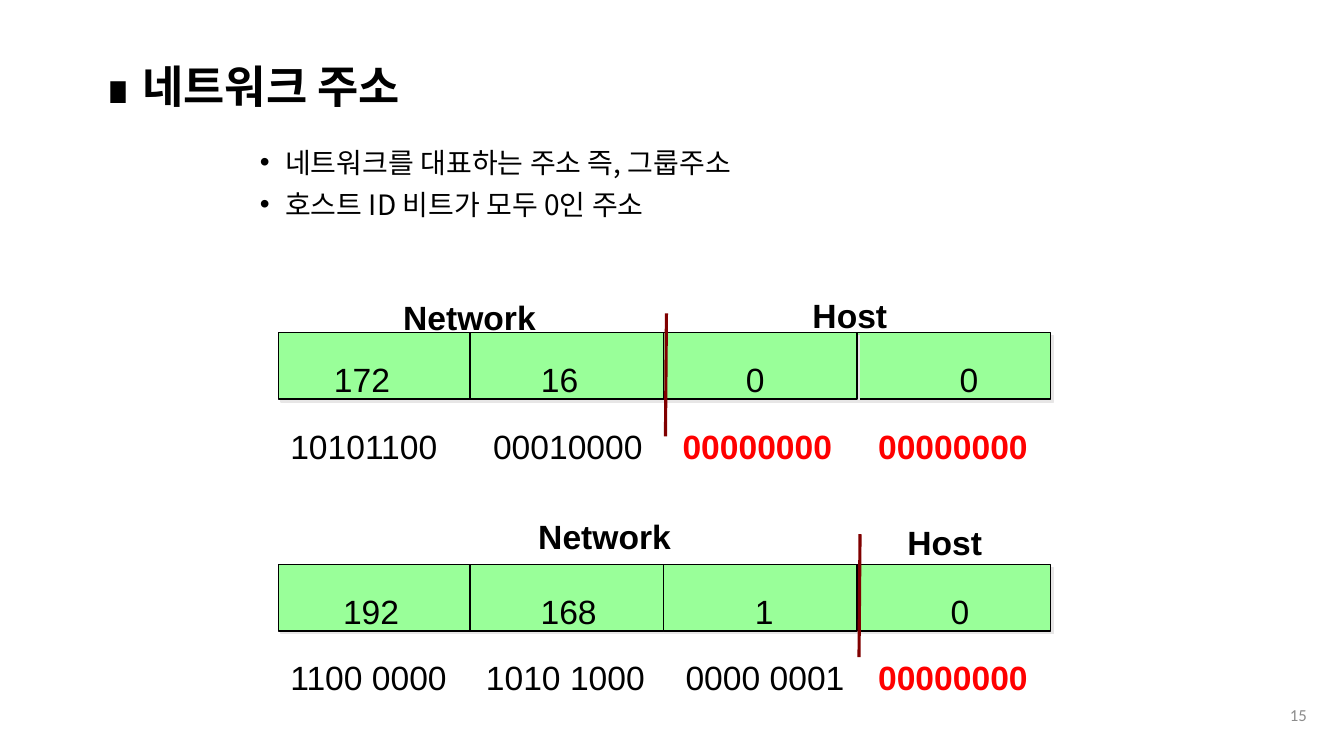
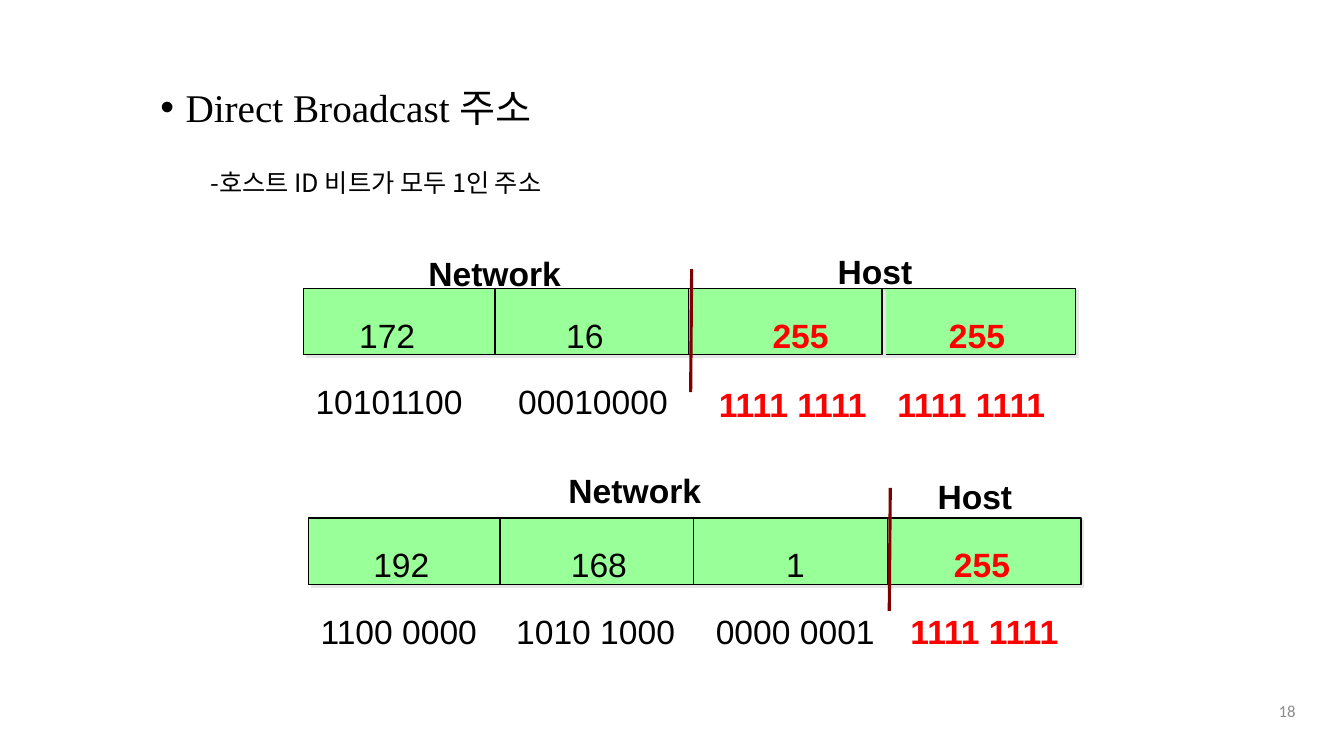
import pptx
import pptx.util
import pptx.dml.color
import pptx.enum.shapes
import pptx.enum.text
import pptx.oxml
import pptx.oxml.ns
from lxml import etree

Inches = pptx.util.Inches
Pt = pptx.util.Pt
Align = pptx.enum.text.PP_ALIGN
Anchor = pptx.enum.text.MSO_ANCHOR
qn = pptx.oxml.ns.qn

COLORS = {
    "text": "000000",
    "host": "FF0000",
    "octet": "99FF99",
    "shadow": "E7E6E6",
    "divider": "800000",
    "page": "8C8C8C",
}
KOREAN = "Noto Sans CJK KR"


def rgb(name):
    return pptx.dml.color.RGBColor.from_string(COLORS[name])


def write(shape, text, size=24, font="Arial", color="text", bold=False,
          align=Align.LEFT, anchor=Anchor.TOP, margins=(0.1, 0.05, 0.1, 0.05),
          wrap=True, line_spacing=1.0, space_before=0, bullet=None, indent=0):
    """Write paragraphs split by line breaks, or one paragraph of (text, overrides) runs."""
    frame = shape.text_frame
    frame.auto_size = pptx.enum.text.MSO_AUTO_SIZE.NONE
    frame.word_wrap = wrap
    frame.vertical_anchor = anchor
    (frame.margin_left, frame.margin_top,
     frame.margin_right, frame.margin_bottom) = [Inches(margin) for margin in margins]
    if isinstance(text, str):
        lines = [[(line, {})] for line in text.split("\n")]
    else:
        lines = [text]
    for index, runs in enumerate(lines):
        paragraph = frame.add_paragraph() if index else frame.paragraphs[0]
        if bullet:
            properties = paragraph._p.get_or_add_pPr()
            properties.set("marL", str(Inches(indent)))
            properties.set("indent", str(-Inches(0.25)))
            etree.SubElement(properties, qn("a:buFont"), typeface="Arial")
            etree.SubElement(properties, qn("a:buChar"), char=bullet)
        paragraph.alignment = align
        paragraph.line_spacing = line_spacing
        paragraph.space_before = Pt(space_before if index else 0)
        for words, overrides in runs:
            run = paragraph.add_run()
            run.text = words
            run.font.size = Pt(size)
            run.font.bold = overrides.get("bold", bold)
            run.font.color.rgb = rgb(color)
            typeface = overrides.get("font", font)
            run.font.name = typeface
            etree.SubElement(run._r.get_or_add_rPr(), qn("a:ea"), typeface=typeface)


# Label places and divider ends, from the top left of a bar, by count of network octets
PARTS = {
    2: {"Network": (1.14, -0.4), "Host": (5.2, -0.42), "divider": (3.85, -0.19)},
    3: {"Network": (2.48, -0.53), "Host": (6.14, -0.47), "divider": (5.77, -0.3)},
}
LABEL_WIDTHS = {"Network": 1.53, "Host": 0.95}
CELL_LEFTS = (0, 1.9, 3.82, 5.74)
CELL_WIDTH, CELL_HEIGHT = 1.92, 0.66

# Octets: number, shift of the number from the cell centre, bits, left of the bits
SLIDES = [
    {
        "page": "15", "page_at": (10.06, 6.89), "red_numbers": False,
        "title": [("∎ ", {}), ("네트워크 주소", {"bold": True})],
        "title_box": (0.93, 0.43, 8.62, 0.9),
        "title_format": {"size": 32, "font": KOREAN, "line_spacing": 0.9},
        "body": "네트워크를 대표하는 주소 즉, 그룹주소\n호스트 ID 비트가 모두 0인 주소",
        "body_box": (1.98, 1.39, 8.89, 1.2),
        "body_format": {"size": 20, "bullet": "•", "indent": 0.75, "space_before": 6},
        "bars": [
            {"at": (2.76, 3.3), "network": 2, "host_drop": 0.57, "octets": [
                ("172", -0.13, "10101100", 0.07), ("16", -0.07, "00010000", 2.08),
                ("0", -0.05, "00000000", 3.96), ("0", 0.15, "00000000", 5.9)]},
            {"at": (2.76, 5.6), "network": 3, "host_drop": 0.57, "octets": [
                ("192", -0.04, "1100 0000", 0.07), ("168", 0.02, "1010 1000", 2.01),
                ("1", 0.04, "0000 0001", 3.99), ("0", 0.06, "00000000", 5.9)]},
        ],
    },
    {
        "page": "18", "page_at": (9.95, 6.85), "red_numbers": True,
        "title": [("Direct Broadcast ", {}), ("주소", {"font": KOREAN})],
        "title_box": (1.49, 0.66, 8.89, 0.8),
        "title_format": {"size": 28, "font": "Times New Roman", "bullet": "•", "indent": 0.25},
        "body": "-호스트 ID 비트가 모두 1인 주소",
        "body_box": (1.99, 1.56, 8.39, 0.5),
        "body_format": {"size": 18, "anchor": Anchor.MIDDLE},
        "bars": [
            {"at": (3.01, 2.86), "network": 2, "host_drop": 0.6, "octets": [
                ("172", -0.13, "10101100", 0.07), ("16", -0.07, "00010000", 2.08),
                ("255", 0.15, "1111 1111", 4.07), ("255", -0.02, "1111 1111", 5.84)]},
            {"at": (3.06, 5.14), "network": 3, "host_drop": 0.57, "octets": [
                ("192", -0.04, "1100 0000", 0.07), ("168", 0.02, "1010 1000", 2.01),
                ("1", 0.05, "0000 0001", 3.99), ("255", -0.02, "1111 1111", 5.92)]},
        ],
    },
]

presentation = pptx.Presentation()
presentation.slide_width = Inches(13.33)
presentation.slide_height = Inches(7.5)

for content in SLIDES:
    slide = presentation.slides.add_slide(presentation.slide_layouts[5])
    shapes = slide.shapes

    # Title
    title = shapes.title
    title.left, title.top, title.width, title.height = [
        Inches(length) for length in content["title_box"]]
    write(title, content["title"], anchor=Anchor.MIDDLE, **content["title_format"])

    # Body text
    body = shapes.add_textbox(*[Inches(length) for length in content["body_box"]])
    write(body, content["body"], font=KOREAN, **content["body_format"])

    # Page number
    left, top = content["page_at"]
    page = shapes.add_textbox(Inches(left), Inches(top), Inches(3), Inches(0.4))
    write(page, content["page"], size=12, font="Calibri", color="page",
          align=Align.RIGHT, anchor=Anchor.MIDDLE)

    for bar in content["bars"]:
        bar_left, bar_top = bar["at"]
        parts = PARTS[bar["network"]]

        # Octet cells, the last one at the back
        for index in (3, 0, 1, 2):
            number, shift, bits, bits_left = bar["octets"][index]
            is_host = index >= bar["network"]
            cell = shapes.add_shape(
                pptx.enum.shapes.MSO_SHAPE.RECTANGLE,
                Inches(bar_left + CELL_LEFTS[index]), Inches(bar_top),
                Inches(CELL_WIDTH), Inches(CELL_HEIGHT))
            cell.fill.solid()
            cell.fill.fore_color.rgb = rgb("octet")
            cell.line.color.rgb = rgb("text")
            cell.line.width = Pt(1)
            cell.shadow.inherit = False
            effects = cell._element.spPr.find(qn("a:effectLst"))
            shadow = etree.SubElement(effects, qn("a:outerShdw"), dist=str(Pt(2.8)),
                                      dir="2700000", algn="ctr", rotWithShape="0")
            etree.SubElement(shadow, qn("a:srgbClr"), val=COLORS["shadow"])
            is_red = is_host and content["red_numbers"]
            write(cell, number, color="host" if is_red else "text", bold=is_red,
                  align=Align.CENTER, anchor=Anchor.MIDDLE,
                  margins=(max(0, 2 * shift), 0.26, max(0, -2 * shift), 0))

        # Bits below the cells
        for index, (number, shift, bits, bits_left) in enumerate(bar["octets"]):
            is_host = index >= bar["network"]
            drop = bar["host_drop"] if is_host else 0.57
            box = shapes.add_textbox(Inches(bar_left + bits_left), Inches(bar_top + drop),
                                     Inches(1.9), Inches(0.83))
            write(box, bits, color="host" if is_host else "text", bold=is_host,
                  margins=(0.05, 0.08, 0.05, 0.08), wrap=False, line_spacing=Pt(48.4))

        # Labels above the cells
        for label, width in LABEL_WIDTHS.items():
            left, top = parts[label]
            box = shapes.add_textbox(Inches(bar_left + left), Inches(bar_top + top),
                                     Inches(width), Inches(0.5))
            write(box, label, bold=True, anchor=Anchor.MIDDLE, wrap=False)

        # Divider between network and host
        left, top = parts["divider"]
        divider = shapes.add_connector(
            pptx.enum.shapes.MSO_CONNECTOR.STRAIGHT,
            Inches(bar_left + left), Inches(bar_top + top),
            Inches(bar_left + left - 0.01), Inches(bar_top + top + 1.22))
        divider.line.color.rgb = rgb("divider")
        divider.line.width = Pt(2.25)
        etree.SubElement(divider._element.spPr, qn("a:effectLst"))

presentation.save("out.pptx")
